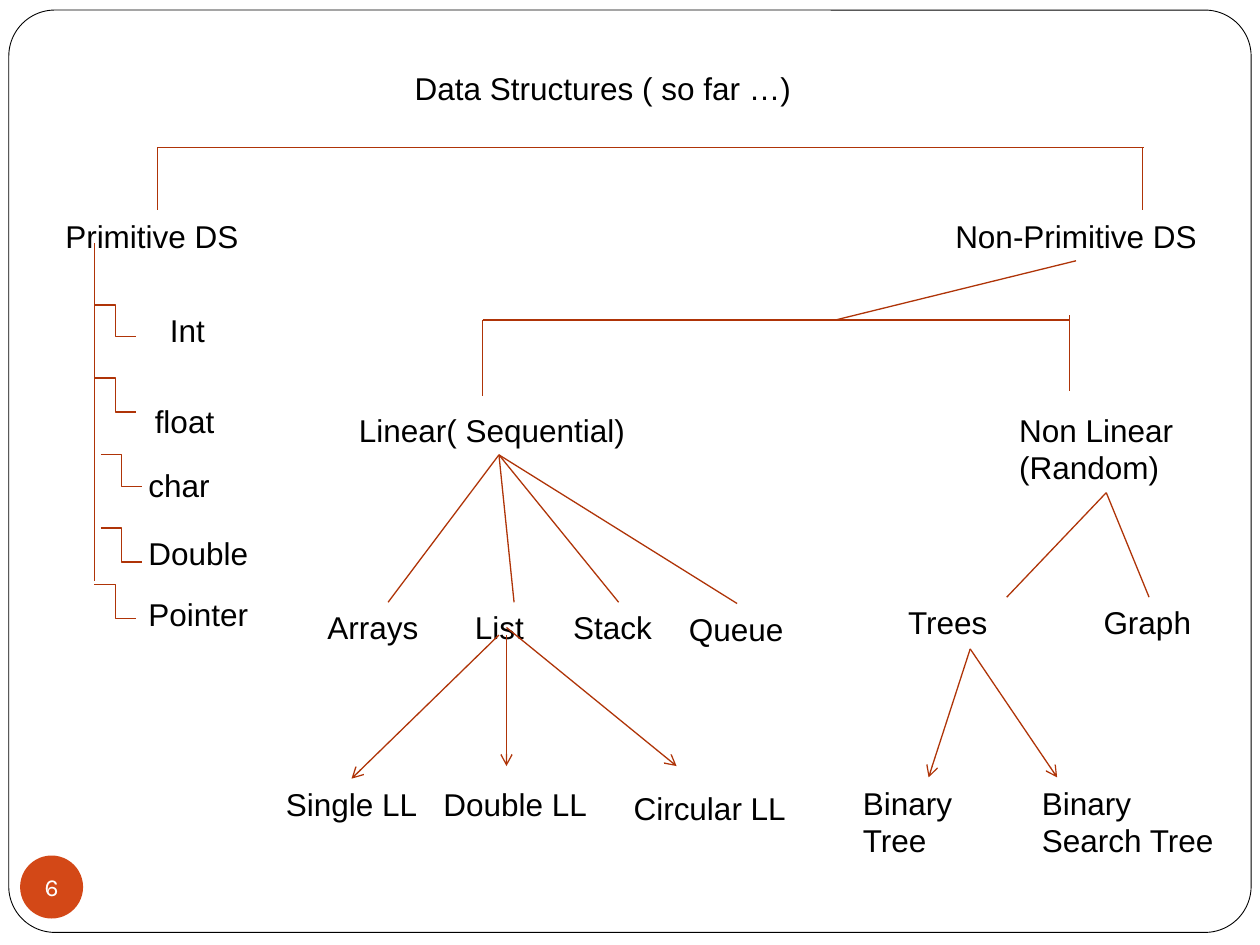
from lxml import etree
from pptx import Presentation
from pptx.dml.color import RGBColor
from pptx.enum import shapes, text
from pptx.oxml.ns import qn
from pptx.util import Inches, Pt

KIND = shapes.MSO_CONNECTOR
LEFT, MID = text.PP_ALIGN.LEFT, text.PP_ALIGN.CENTER


def color(code):
    return RGBColor.from_string(code)


def link(x1, y1, x2, y2, kind=KIND.STRAIGHT, arrow=False):
    line = page.shapes.add_connector(kind, Inches(x1), Inches(y1), Inches(x2), Inches(y2))
    line.line.color.rgb = color("AF3408")
    line.line.width = Pt(0.75)
    if arrow:
        etree.SubElement(line.line._get_or_add_ln(), qn("a:tailEnd"), type="arrow")
    etree.SubElement(line._element.spPr, qn("a:effectLst"))


def label(words, x, y, wide, align=LEFT, high=0.4):
    box = page.shapes.add_textbox(Inches(x), Inches(y), Inches(wide), Inches(high))
    frame = box.text_frame
    frame.word_wrap = True
    frame.text = words
    for para in frame.paragraphs:
        para.alignment = align
        para.font.size = Pt(18)
        para.font.name = "Arial"
        para.font.color.rgb = color("000000")


deck = Presentation()
deck.slide_width, deck.slide_height = Inches(10), Inches(7.5)
page = deck.slides.add_slide(deck.slide_layouts[6])

# Rounded page frame
frame = page.shapes.add_shape(shapes.MSO_SHAPE.ROUNDED_RECTANGLE,
                              Inches(0.07), Inches(0.08), Inches(9.86), Inches(7.32))
frame.adjustments[0] = 0.05
frame.shadow.inherit = False
frame.fill.solid()
frame.fill.fore_color.rgb = color("FFFFFF")
frame.line.color.rgb = color("000000")
frame.line.width = Pt(0.5)

# Slide number badge
badge = page.shapes.add_shape(shapes.MSO_SHAPE.OVAL,
                              Inches(0.16), Inches(6.79), Inches(0.5), Inches(0.5))
badge.shadow.inherit = False
badge.fill.solid()
badge.fill.fore_color.rgb = color("D34817")
badge.line.fill.background()
body = badge.text_frame
body.margin_left = body.margin_right = body.margin_top = body.margin_bottom = 0
body.word_wrap = False
body.vertical_anchor = text.MSO_ANCHOR.MIDDLE
body.text = "6"
para = body.paragraphs[0]
para.alignment = MID
para.font.size = Pt(14)
para.font.name = "Karla"
para.font.color.rgb = color("FFFFFF")

# Title and the two main branches
label("Data Structures ( so far …)", 2.73, 0.5, 4.11, MID)
link(1.25, 1.17, 9.08, 1.17)
for x in (1.25, 9.07):
    link(x, 1.17, x, 1.67)
label("Primitive DS", 0.42, 1.67, 2.33)
label("Non-Primitive DS", 7.33, 1.67, 2.42, MID)

# Primitive types: trunk, then an elbow and a name for each
link(0.75, 1.93, 0.75, 4.61)
for name, x, y, wide, start, top, drop in (
        ("Int", 1.25, 2.42, 0.83, 0.75, 2.42, 0.25),
        ("float", 1.13, 3.14, 0.78, 0.75, 3, 0.27),
        ("char", 1.08, 3.65, 0.83, 0.8, 3.61, 0.25),
        ("Double", 1.08, 4.19, 1.01, 0.8, 4.19, 0.27),
        ("Pointer", 1.08, 4.67, 1.01, 0.75, 4.64, 0.27)):
    link(start, top, start + 0.33, top + drop, KIND.ELBOW)
    label(name, x, y, wide)

# Non-primitive split
link(3.83, 2.54, 8.49, 2.54)
link(6.63, 2.54, 8.54, 2.07)
for x, y in ((3.83, 2.54), (8.49, 2.5)):
    link(x, y, x, y + 0.6)

# Linear structures
label("Linear( Sequential)", 2.75, 3.21, 2.42)
for name, x, y, wide, end in (
        ("Arrays", 2.5, 4.78, 1.17, 3.08),
        ("List", 3.67, 4.78, 0.83, 4.08),
        ("Stack", 4.45, 4.78, 0.92, 4.91),
        ("Queue", 5.37, 4.79, 0.97, 5.85)):
    label(name, x, y, wide)
    link(3.96, 3.61, end, y)

# Kinds of linked list
for name, x, y, wide, ends in (
        ("Single LL", 2.17, 6.18, 1.25, (3.96, 5.04, 2.79, 6.18)),
        ("Double LL", 3.42, 6.18, 1.49, (4.02, 5.04, 4.02, 6.08)),
        ("Circular LL", 4.93, 6.21, 1.65, (4.02, 4.98, 5.37, 6.08))):
    label(name, x, y, wide)
    link(*ends, arrow=True)

# Non-linear structures
label("Non Linear\n(Random)", 7.99, 3.21, 1.58, high=0.7)
for name, x, wide, end in (("Trees", 7.11, 1.17, 7.99), ("Graph", 8.66, 0.92, 9.12)):
    label(name, x, 4.74, wide)
    link(8.78, 3.91, end, 4.74)

# Kinds of tree
for name, x, wide, end in (("Binary Tree", 6.75, 1.25, 7.37),
                           ("Binary Search Tree", 8.17, 1.58, 8.39)):
    label(name, x, 6.17, wide, high=0.7)
    link(7.7, 5.15, end, 6.17, arrow=True)

deck.save("out.pptx")
